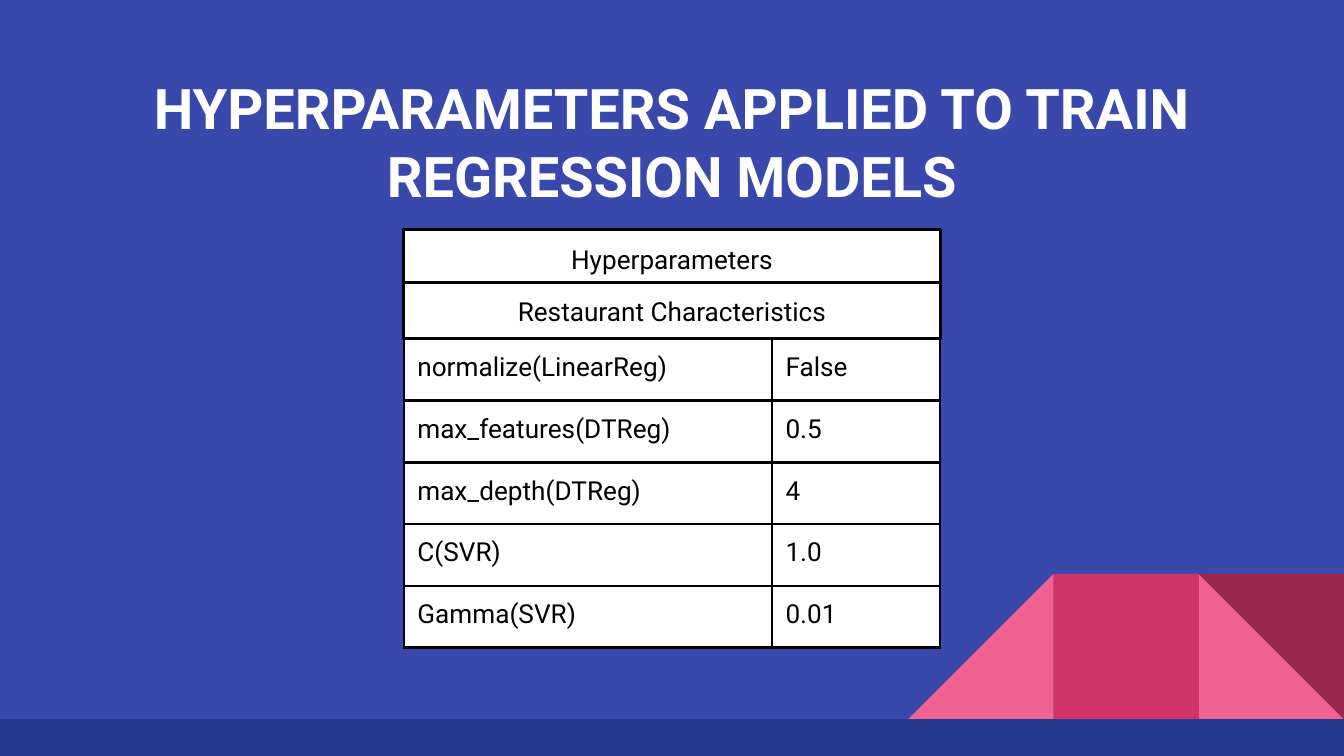
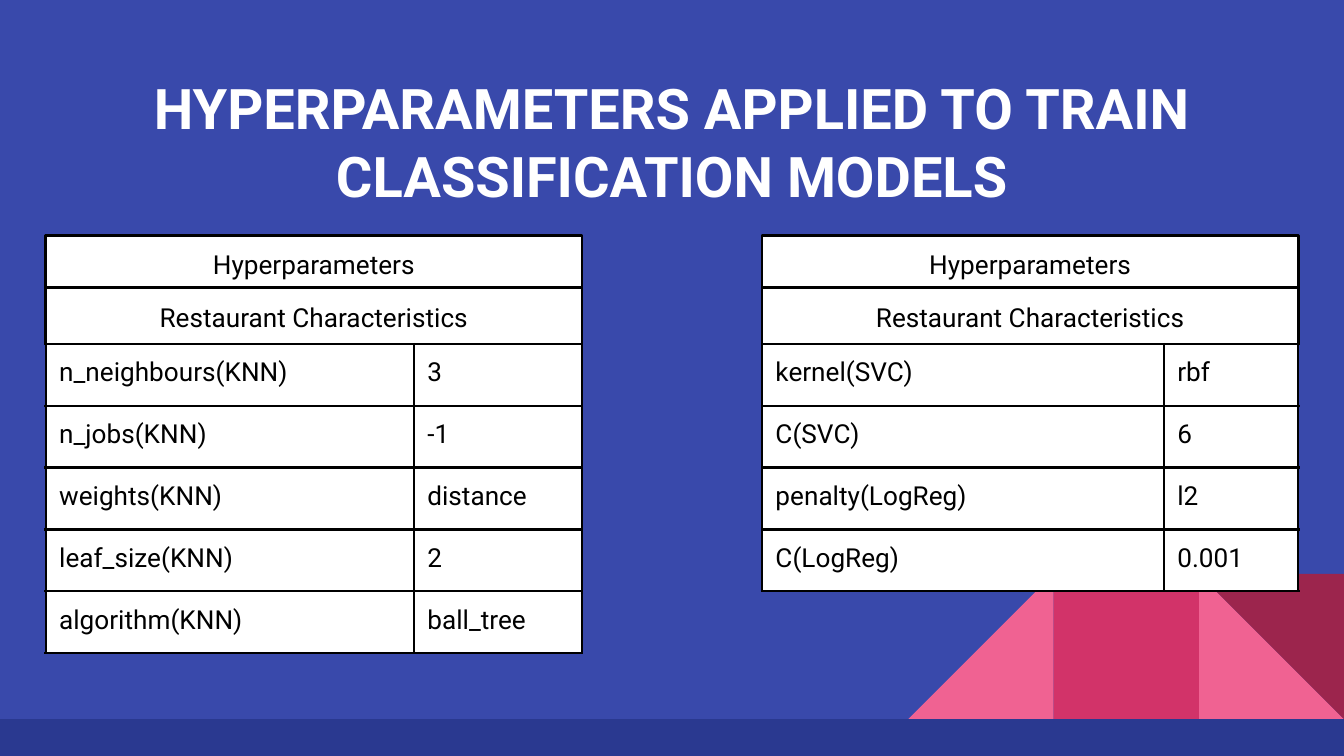
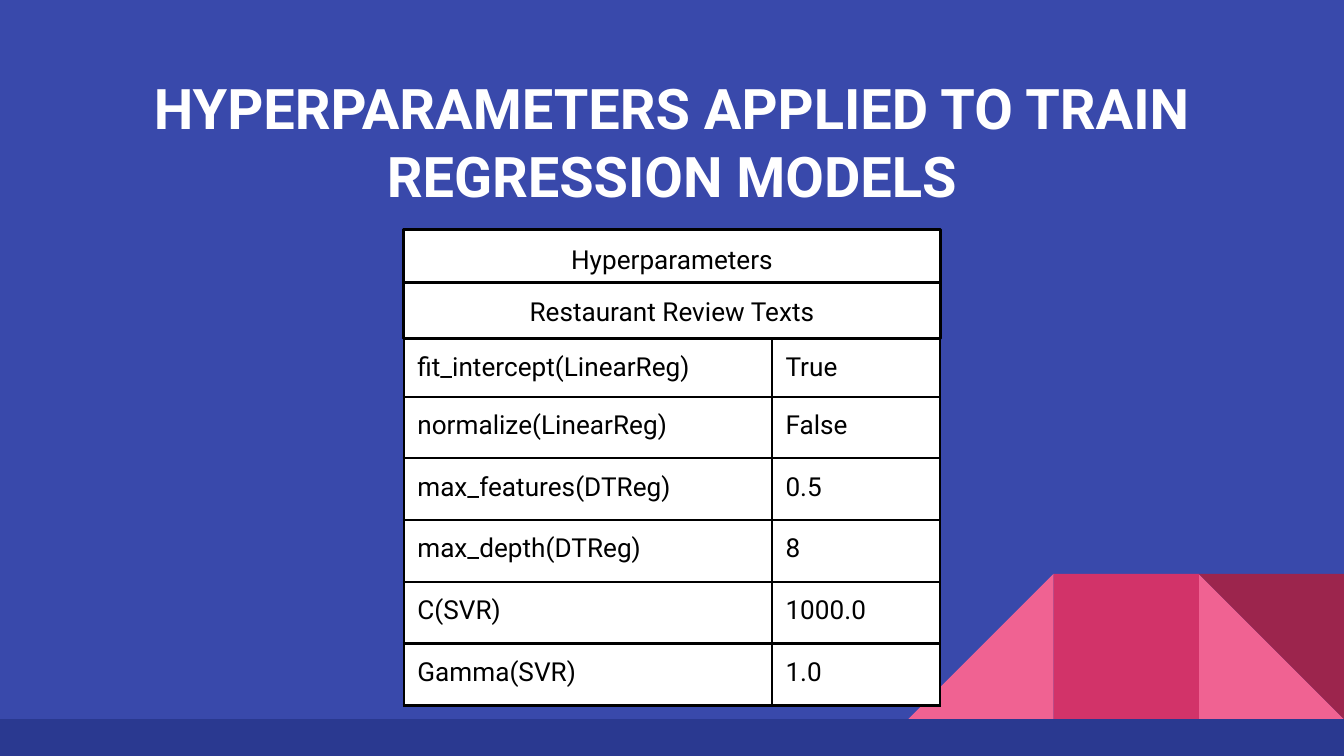
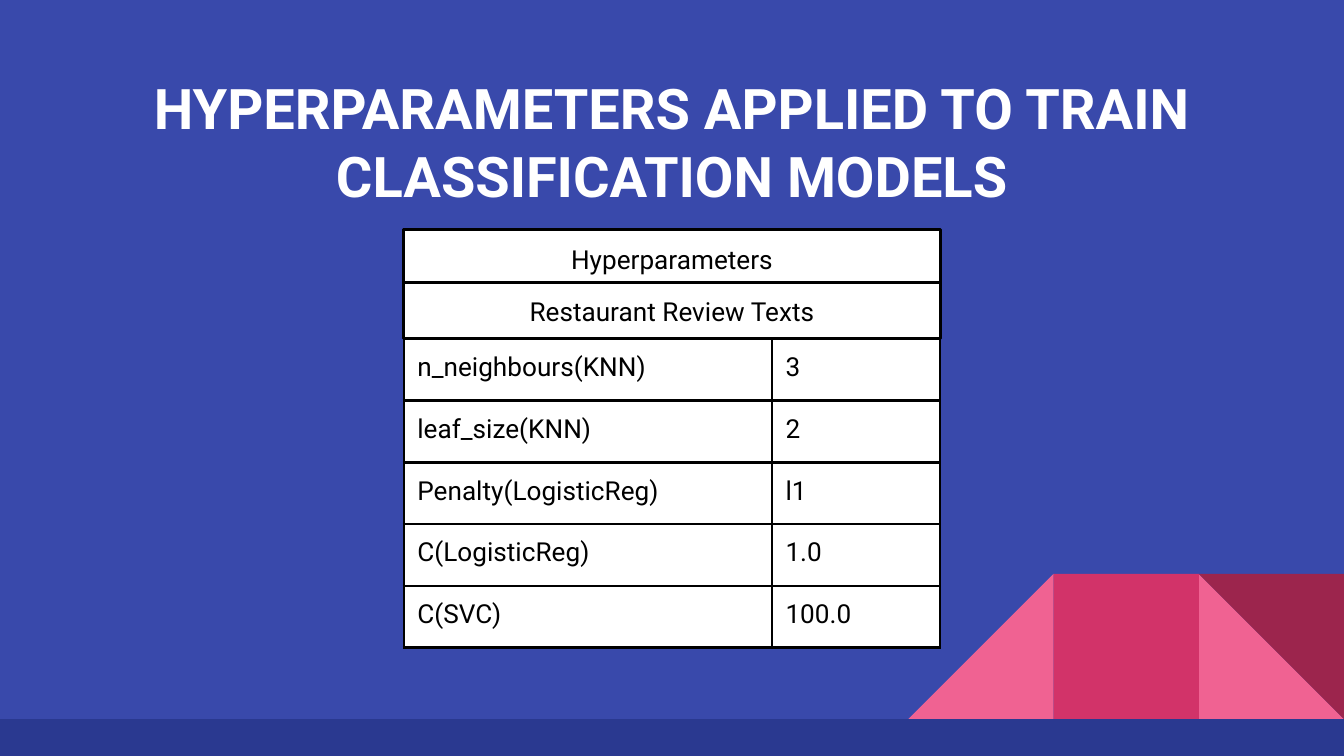
from dataclasses import dataclass

from lxml.etree import SubElement
from pptx import Presentation
from pptx.dml.color import RGBColor
from pptx.enum.shapes import MSO_SHAPE
from pptx.enum.text import MSO_ANCHOR, PP_ALIGN
from pptx.oxml.ns import qn
from pptx.util import Inches, Length, Pt

COLORS = {
    "background": "3949AB",
    "band": "2A3990",
    "light pink": "F06292",
    "pink": "D23369",
    "dark pink": "9C254D",
    "white": "FFFFFF",
    "black": "000000",
}
FONT = "Roboto"
LINE_WIDTH = Pt(1.5)
SLIDE_WIDTH = Inches(10)
SLIDE_HEIGHT = SLIDE_WIDTH * 9 // 16

# Square grid: 100 columns across the slide, 56.25 rows down it.
COLUMNS, ROWS = 100, 56.25
MARGIN = 3.4
BAND_TOP = 53.5
TILE = 10.8
CARD_WIDTH = 39.9
CARD_CENTER = (COLUMNS - CARD_WIDTH) / 2
CARD_RIGHT = COLUMNS - MARGIN - CARD_WIDTH
HEADING_HEIGHT, SUBJECT_HEIGHT = 3.9, 4.2
ROW_HEIGHT, SHORT_ROW_HEIGHT = 4.6, 3.1
SHORT_ROW_PITCH = 4.3  # a short row grows to this height around its text


@dataclass(frozen=True)
class Tile:
    """One piece of the corner decoration, placed by tiles from the right edge."""
    from_right: int
    kind: MSO_SHAPE
    color: str
    flipped: bool = False
    rotation: int = 0


@dataclass(frozen=True)
class Card:
    """Two headings over a table of parameters and values."""
    subject: str
    parameters: tuple[tuple[str, str], ...]
    left: float = CARD_CENTER
    top: float = 17.1
    value_width: float = 12.5
    lead: tuple[tuple[str, str], ...] = ()


@dataclass(frozen=True)
class Page:
    model_kind: str
    cards: tuple[Card, ...]


TILES = (
    Tile(1, MSO_SHAPE.RIGHT_TRIANGLE, "light pink"),
    Tile(3, MSO_SHAPE.RIGHT_TRIANGLE, "light pink", flipped=True),
    Tile(2, MSO_SHAPE.RECTANGLE, "pink"),
    Tile(1, MSO_SHAPE.RIGHT_TRIANGLE, "dark pink", rotation=180),
)
CHARACTERISTICS = "Restaurant Characteristics"
REVIEWS = "Restaurant Review Texts"

PAGES = (
    Page("REGRESSION", (
        Card(CHARACTERISTICS, (
            ("normalize(LinearReg)", "False"),
            ("max_features(DTReg)", "0.5"),
            ("max_depth(DTReg)", "4"),
            ("C(SVR)", "1.0"),
            ("Gamma(SVR)", "0.01"),
        )),
    )),
    Page("CLASSIFICATION", (
        Card(CHARACTERISTICS, (
            ("n_neighbours(KNN)", "3"),
            ("n_jobs(KNN)", "-1"),
            ("weights(KNN)", "distance"),
            ("leaf_size(KNN)", "2"),
            ("algorithm(KNN)", "ball_tree"),
        ), left=MARGIN, top=17.5),
        Card(CHARACTERISTICS, (
            ("kernel(SVC)", "rbf"),
            ("C(SVC)", "6"),
            ("penalty(LogReg)", "l2"),
            ("C(LogReg)", "0.001"),
        ), left=CARD_RIGHT, top=17.5, value_width=10),
    )),
    Page("REGRESSION", (
        Card(REVIEWS, (
            ("normalize(LinearReg)", "False"),
            ("max_features(DTReg)", "0.5"),
            ("max_depth(DTReg)", "8"),
            ("C(SVR)", "1000.0"),
            ("Gamma(SVR)", "1.0"),
        ), lead=(("fit_intercept(LinearReg)", "True"),)),
    )),
    Page("CLASSIFICATION", (
        Card(REVIEWS, (
            ("n_neighbours(KNN)", "3"),
            ("leaf_size(KNN)", "2"),
            ("Penalty(LogisticReg)", "l1"),
            ("C(LogisticReg)", "1.0"),
            ("C(SVC)", "100.0"),
        )),
    )),
)


def color(name: str) -> RGBColor:
    return RGBColor.from_string(COLORS[name])


def grid(*units: float) -> list[Length]:
    """Turn columns or rows of the grid into lengths."""
    return [Length(round(unit * SLIDE_WIDTH / COLUMNS)) for unit in units]


def write(text_frame, text: str, size: float = 14, text_color: str = "black",
          bold: bool = False, alignment: PP_ALIGN = PP_ALIGN.CENTER) -> None:
    text_frame.word_wrap = True
    paragraph = text_frame.paragraphs[0]
    paragraph.alignment = alignment
    run = paragraph.add_run()
    run.text = text
    run.font.name = FONT
    run.font.size = Pt(size)
    run.font.bold = bold
    run.font.color.rgb = color(text_color)


def set_insets(holder) -> None:
    """Give a text frame or a table cell equal insets and top anchoring."""
    holder.margin_left = holder.margin_right = Inches(0.1)
    holder.margin_top = holder.margin_bottom = Inches(0.1)
    holder.vertical_anchor = MSO_ANCHOR.TOP


def add_filled(slide, kind: MSO_SHAPE, fill: str, *box: float):
    shape = slide.shapes.add_shape(kind, *grid(*box))
    shape.shadow.inherit = False
    shape.fill.solid()
    shape.fill.fore_color.rgb = color(fill)
    shape.line.fill.background()
    return shape


def add_decoration(slide) -> None:
    for tile in TILES:
        shape = add_filled(slide, tile.kind, tile.color,
                           COLUMNS - tile.from_right * TILE, BAND_TOP - TILE, TILE, TILE)
        shape.rotation = tile.rotation
        if tile.flipped:
            shape.element.spPr.find(qn("a:xfrm")).set("flipH", "1")
    add_filled(slide, MSO_SHAPE.RECTANGLE, "band", 0, BAND_TOP, COLUMNS, ROWS - BAND_TOP)


def add_title(slide, text: str) -> None:
    title = slide.shapes.add_textbox(*grid(MARGIN, 4.5, COLUMNS - 2 * MARGIN, 6.6))
    set_insets(title.text_frame)
    write(title.text_frame, text, 30, "white", bold=True)


def add_heading(slide, text: str, left: float, top: float, height: float) -> None:
    heading = add_filled(slide, MSO_SHAPE.RECTANGLE, "white", left, top, CARD_WIDTH, height)
    heading.line.color.rgb = color("black")
    heading.line.width = LINE_WIDTH
    set_insets(heading.text_frame)
    write(heading.text_frame, text)


def add_borders(cell) -> None:
    properties = cell._tc.get_or_add_tcPr()
    for side in ("a:lnL", "a:lnR", "a:lnT", "a:lnB"):
        line = SubElement(properties, qn(side), w=str(LINE_WIDTH))
        SubElement(SubElement(line, qn("a:solidFill")), qn("a:srgbClr"), val=COLORS["black"])


def add_parameters(slide, card: Card, rows: tuple[tuple[str, str], ...],
                   top: float, row_height: float) -> None:
    frame = slide.shapes.add_table(
        len(rows), 2, *grid(card.left, top, CARD_WIDTH, row_height * len(rows)))
    table = frame.table
    table.first_row = table.horz_banding = False
    widths = grid(CARD_WIDTH - card.value_width, card.value_width)
    for column, width in zip(table.columns, widths):
        column.width = width
    for row, texts in zip(table.rows, rows):
        row.height = grid(row_height)[0]
        for cell, text in zip(row.cells, texts):
            set_insets(cell)
            add_borders(cell)
            cell.fill.solid()
            cell.fill.fore_color.rgb = color("white")
            write(cell.text_frame, text, alignment=PP_ALIGN.LEFT)


def add_card(slide, card: Card) -> None:
    subject_top = card.top + HEADING_HEIGHT
    table_top = subject_top + SUBJECT_HEIGHT
    add_heading(slide, card.subject, card.left, subject_top, SUBJECT_HEIGHT)
    add_heading(slide, "Hyperparameters", card.left, card.top, HEADING_HEIGHT)
    add_parameters(slide, card, card.parameters,
                   table_top + SHORT_ROW_PITCH * len(card.lead), ROW_HEIGHT)
    if card.lead:
        add_parameters(slide, card, card.lead, table_top, SHORT_ROW_HEIGHT)


def main() -> None:
    presentation = Presentation()
    presentation.slide_width = SLIDE_WIDTH
    presentation.slide_height = SLIDE_HEIGHT
    for page in PAGES:
        slide = presentation.slides.add_slide(presentation.slide_layouts[6])
        slide.background.fill.solid()
        slide.background.fill.fore_color.rgb = color("background")
        add_decoration(slide)
        add_title(slide, f"HYPERPARAMETERS APPLIED TO TRAIN {page.model_kind} MODELS")
        for card in page.cards:
            add_card(slide, card)
    presentation.save("out.pptx")


if __name__ == "__main__":
    main()
